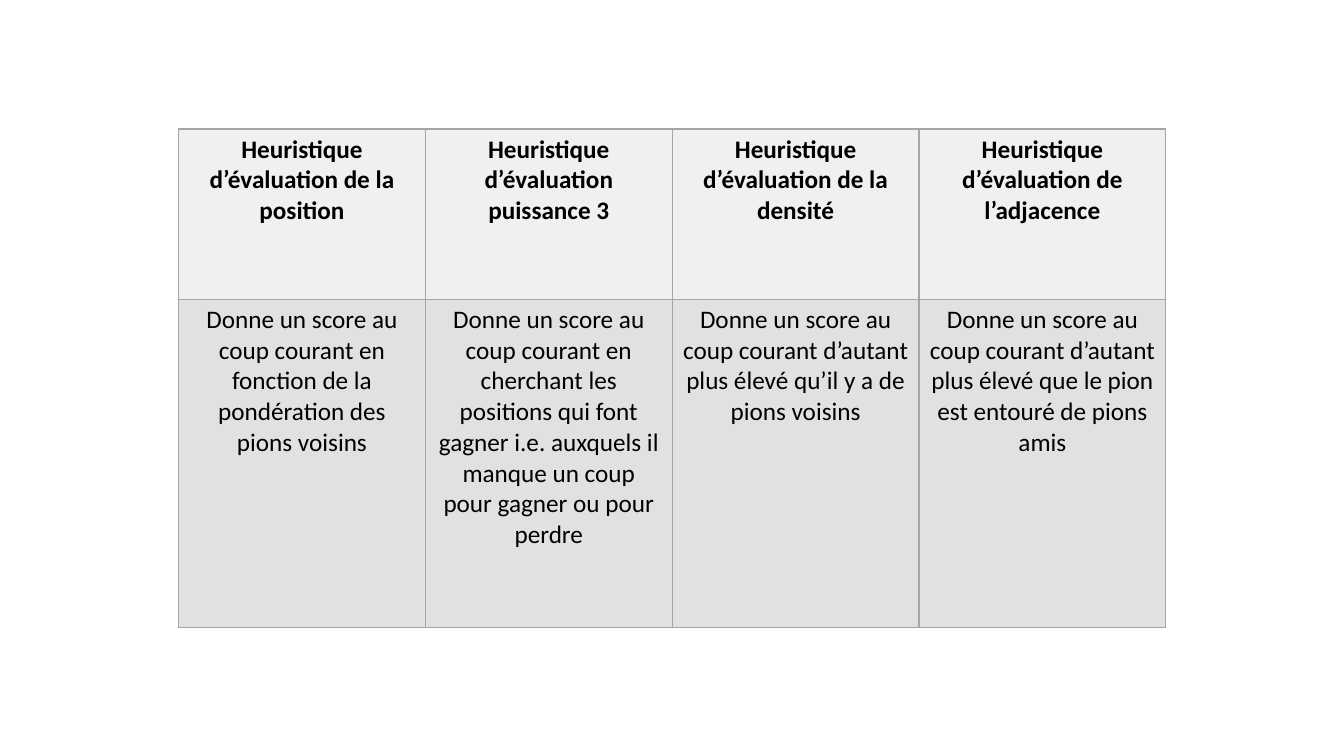
from lxml import etree
from pptx import Presentation
from pptx import util as u
from pptx.dml.color import RGBColor
from pptx.enum import text
from pptx.oxml.ns import qn

HEURISTICS = [
    ("Heuristique d’évaluation de la position",
     "Donne un score au coup courant en fonction de la pondération des pions voisins"),
    ("Heuristique d’évaluation puissance 3",
     "Donne un score au coup courant en cherchant les positions qui font gagner "
     "i.e. auxquels il manque un coup pour gagner ou pour perdre"),
    ("Heuristique d’évaluation de la densité",
     "Donne un score au coup courant d’autant plus élevé qu’il y a de pions voisins"),
    ("Heuristique d’évaluation de l’adjacence",
     "Donne un score au coup courant d’autant plus élevé que le pion est entouré de pions amis"),
]
COLUMN_WIDTH = 6.22
ROW_HEIGHTS = (4.29, 8.28)
ROW_FILLS = ("F0F0F0", "E1E1E1")
BORDER_COLOR = "A5A5A5"


def set_color(color_format, color):
    color_format.rgb = RGBColor.from_string(color)


def add_borders(cell, color, width):
    properties = cell._tc.get_or_add_tcPr()
    for side in ("a:lnL", "a:lnR", "a:lnT", "a:lnB"):
        line = etree.SubElement(properties, qn(side), w=str(u.Pt(width)))
        fill = etree.SubElement(line, qn("a:solidFill"))
        etree.SubElement(fill, qn("a:srgbClr"), val=color)


def add_run(paragraph, wording, bold):
    run = paragraph.add_run()
    run.text = wording
    run.font.name = "Calibri"
    run.font.size = u.Pt(18)
    run.font.bold = bold
    set_color(run.font.color, "000000")


def fill_cell(cell, wording, color, bold):
    add_borders(cell, BORDER_COLOR, 1)
    cell.fill.solid()
    set_color(cell.fill.fore_color, color)
    paragraph = cell.text_frame.paragraphs[0]
    paragraph.alignment = text.PP_ALIGN.CENTER
    add_run(paragraph, wording, bold)


def add_heuristics_table(slide, left, top):
    column_count = len(HEURISTICS)
    table = slide.shapes.add_table(
        len(ROW_HEIGHTS), column_count, u.Cm(left), u.Cm(top),
        u.Cm(COLUMN_WIDTH * column_count), u.Cm(sum(ROW_HEIGHTS))).table
    for row, height in zip(table.rows, ROW_HEIGHTS):
        row.height = u.Cm(height)
    for column_index, wordings in enumerate(HEURISTICS):
        table.columns[column_index].width = u.Cm(COLUMN_WIDTH)
        for row_index, wording in enumerate(wordings):
            fill_cell(table.cell(row_index, column_index), wording,
                      ROW_FILLS[row_index], bold=row_index == 0)


def main():
    presentation = Presentation()
    presentation.slide_width = u.Cm(33.87)
    presentation.slide_height = u.Cm(19.05)
    slide = presentation.slides.add_slide(presentation.slide_layouts[6])
    add_heuristics_table(slide, 4.5, 3.25)
    presentation.save("out.pptx")


if __name__ == "__main__":
    main()
